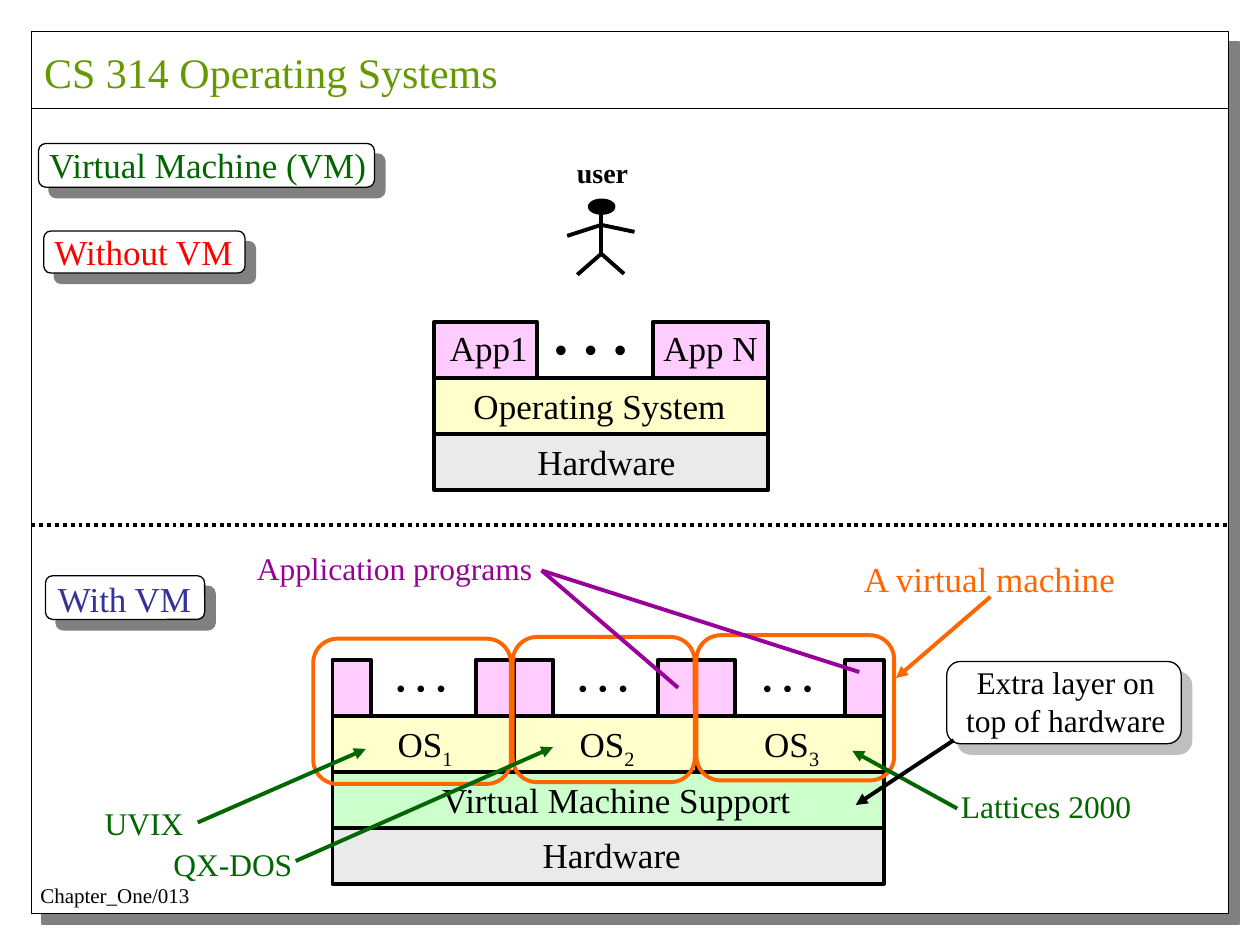
from lxml import etree
from pptx import Presentation
from pptx.dml.color import RGBColor
from pptx.enum import dml, shapes, text
from pptx.oxml import ns
from pptx.util import Pt

SERIF = "Times New Roman"
BLACK, WHITE, GREY = "000000", "FFFFFF", "EAEAEA"
PINK, YELLOW, MINT = "FFCCFF", "FFFFCC", "CCFFCC"
GREEN, ORANGE, PURPLE = "006600", "FF6600", "990099"
ROW = 32  # height of one layer in a stack


def colour(value):
    return RGBColor.from_string(value)


def add_child(parent, tag, **attributes):
    return etree.SubElement(parent, ns.qn(tag), attributes)


def add_box(slide, kind, box, fill=None, line=BLACK, weight=2.25, shadow=None):
    """Add a preset shape; shadow is an opacity in percent."""
    shape = slide.shapes.add_shape(kind, *map(Pt, box))
    shape.shadow.inherit = False
    if fill:
        shape.fill.solid()
        shape.fill.fore_color.rgb = colour(fill)
    else:
        shape.fill.background()
    shape.line.color.rgb = colour(line)
    shape.line.width = Pt(weight)
    if shadow:
        effects = shape._element.spPr.find(ns.qn("a:effectLst"))
        outer = add_child(effects, "a:outerShdw", blurRad="0", dist=str(Pt(8.5)),
                          dir="2700000", algn="ctr", rotWithShape="0")
        tint = add_child(outer, "a:srgbClr", val="808080")
        add_child(tint, "a:alpha", val=str(shadow * 1000))
    return shape


def add_rectangle(slide, box, fill):
    return add_box(slide, shapes.MSO_SHAPE.RECTANGLE, box, fill)


def add_line(slide, start, end, line=BLACK, weight=2.25, arrow=False, dash=None):
    connector = slide.shapes.add_connector(
        shapes.MSO_CONNECTOR.STRAIGHT, *map(Pt, start + end))
    connector.line.color.rgb = colour(line)
    connector.line.width = Pt(weight)
    if dash:
        connector.line.dash_style = dash
    if arrow:
        add_child(connector.line._get_or_add_ln(), "a:tailEnd", type="triangle")
    add_child(connector._element.spPr, "a:effectLst")
    return connector


def format_run(run, size, ink=BLACK, font=SERIF, bold=False):
    run.font.size = Pt(size)
    run.font.name = font
    run.font.bold = bold
    run.font.color.rgb = colour(ink)


def write(shape, words, size, align=text.PP_ALIGN.LEFT, **style):
    frame = shape.text_frame
    frame.text = words
    frame.word_wrap = False
    frame.auto_size = text.MSO_AUTO_SIZE.SHAPE_TO_FIT_TEXT
    frame.vertical_anchor = text.MSO_ANCHOR.TOP
    for paragraph in frame.paragraphs:
        paragraph.alignment = align
        for run in paragraph.runs:
            format_run(run, size, **style)


def add_label(slide, x, y, width, words, size=20, **style):
    lines = words.count("\n") + 1
    height = 1.2 * size * lines + 7.4
    label = slide.shapes.add_textbox(Pt(x), Pt(y), Pt(width), Pt(height))
    write(label, words, size, **style)
    return label


def add_dots(slide, x, y, width, size):
    """Ellipsis of bullets, set slightly tight."""
    label = add_label(slide, x, y, width, "•  •  •", size, font="Arial")
    run = label.text_frame.paragraphs[0].runs[0]
    run._r.get_or_add_rPr().set("spc", "-40")


def draw_page(slide, box):
    x, y, width, height = box
    add_box(slide, shapes.MSO_SHAPE.RECTANGLE, box, WHITE, weight=0.75, shadow=100)
    add_line(slide, (x, y + 44), (x + width, y + 44), weight=0.75)
    add_line(slide, (x, y + 282), (x + width, y + 282),
             dash=dml.MSO_LINE.ROUND_DOT)
    add_label(slide, x - 2, y + 482.8, 102, "Chapter_One/013", 12)
    title = slide.shapes.title
    title.left, title.top, title.width, title.height = map(
        Pt, (x, y + 5, 276, 36))
    write(title, "CS 314 Operating Systems", 24, ink="669900")
    slide.shapes._spTree.append(title._element)  # in front of the page frame


def draw_heading(slide, box, words, ink, dx, dy):
    """Shadowed pill with a section name, moved by dx and dy from its corner."""
    x, y, width, height = box
    add_box(slide, shapes.MSO_SHAPE.ROUNDED_RECTANGLE, box, WHITE,
            weight=0.75, shadow=100)
    add_label(slide, x + dx, y + dy, width + 5, words, ink=ink)


def draw_user(slide, x, y):
    """Stick figure with its caption, from the caption's top left."""
    add_label(slide, x, y + 0.5, 47, "user", 16, bold=True)
    add_box(slide, shapes.MSO_SHAPE.OVAL, (x + 13.7, y + 28.8, 15, 8.6), BLACK,
            weight=0.75)
    neck, shoulder, hip = ((x + 21, y + drop) for drop in (33, 43.5, 60))
    add_line(slide, neck, hip)
    for joint, dx, dy in ((hip, -13.7, 12), (hip, 13, 11.5),
                          (shoulder, -19.5, 6.3), (shoulder, 19, 4)):
        add_line(slide, joint, (joint[0] + dx, joint[1] + dy))


def draw_plain_stack(slide, x, y, width):
    """Applications, operating system and hardware."""
    add_rectangle(slide, (x, y + 2 * ROW, width, ROW), GREY)
    add_label(slide, x + 52, y + 2 * ROW, 96, "Hardware")
    add_rectangle(slide, (x, y + ROW, width, ROW), YELLOW)
    add_label(slide, x + 15.5, y + ROW, 161, "Operating System")
    add_rectangle(slide, (x, y, 59, ROW), PINK)
    add_label(slide, x + 2, y - 1, 61, "App1")
    add_rectangle(slide, (x + width - 66, y, 66, ROW), PINK)
    add_label(slide, x + width - 67, y - 1, 70, "App N")
    add_dots(slide, x + 62, y - 0.5, 61, 20)


def draw_guest(slide, x, y, width, number):
    """One guest system with its first and last application."""
    app, label_width = 22, 48
    label_x = x + (width - label_width) / 2 + 1.5
    add_rectangle(slide, (x, y + ROW, width, ROW), YELLOW)
    label = add_label(slide, label_x + 0.6, y + ROW + 0.4, label_width, "OS")
    subscript = label.text_frame.paragraphs[0].add_run()
    subscript.text = str(number)
    format_run(subscript, 20)
    subscript._r.get_or_add_rPr().set("baseline", "-25000")
    for app_x in (x, x + width - app):
        add_rectangle(slide, (app_x, y, app, ROW), PINK)
    add_dots(slide, label_x, y + 3.8, label_width, 14)


def draw_virtual_stack(slide, x, y):
    """Three guests over the support layer and the hardware."""
    widths = (104, 104, 107)
    total = sum(widths)
    for row, fill, words, label_x, label_y, label_width in (
            (2, MINT, "Virtual Machine Support", 55.5, 0.5, 218),
            (3, GREY, "Hardware", 113, -0.5, 96)):
        top = y + row * ROW
        add_rectangle(slide, (x, top, total, ROW), fill)
        add_label(slide, x + label_x, top + label_y, label_width, words)
    for index, width in enumerate(widths):
        draw_guest(slide, x + sum(widths[:index]), y, width, index + 1)
    for dx, dy, width in ((-11, -12, 113), (103, -13, 104), (208, -14, 113)):
        add_box(slide, shapes.MSO_SHAPE.ROUNDED_RECTANGLE,
                (x + dx, y + dy, width, 83), line=ORANGE)


def draw_callouts(slide, x, y):
    """Names around the virtual stack, from the stack's top left."""
    add_box(slide, shapes.MSO_SHAPE.ROUNDED_RECTANGLE,
            (x + 351, y + 1, 134, 47), WHITE, weight=0.75, shadow=50)
    add_label(slide, x + 353, y - 1.6, 132, "Extra layer on\ntop of hardware", 18,
              align=text.PP_ALIGN.CENTER)
    for dx, dy, width, words, size, ink in (
            (296.5, -62, 162, "A virtual machine", 20, ORANGE),
            (-50.3, -67, 175, "Application programs", 18, PURPLE),
            (-137.3, 79, 63, "UVIX", 18, GREEN),
            (-98, 102.4, 86, "QX-DOS", 18, GREEN),
            (352, 69, 124, "Lattices 2000", 18, GREEN)):
        add_label(slide, x + dx, y + dy, width, words, size, ink=ink)
    for start, end, ink, arrow in (
            ((376, -36), (322, 10.5), ORANGE, True),
            ((119.5, -51), (197.5, 16), PURPLE, False),
            ((119.5, -51), (301, 7), PURPLE, False),
            ((-77, 93), (19, 51), GREEN, True),
            ((-21, 115), (126, 50), GREEN, True),
            ((357, 85), (297, 52), GREEN, True),
            ((355, 46), (299, 83), BLACK, True)):
        add_line(slide, (x + start[0], y + start[1]), (x + end[0], y + end[1]),
                 ink, arrow=arrow)


def main():
    presentation = Presentation()
    presentation.slide_width, presentation.slide_height = Pt(720), Pt(540)
    slide = presentation.slides.add_slide(presentation.slide_layouts[5])
    draw_page(slide, (18, 18, 684, 504))
    draw_heading(slide, (22, 82, 192, 25), "Virtual Machine (VM)", GREEN, -1, -3.5)
    draw_heading(slide, (25, 132, 115, 24), "Without VM", "FF0000", -1, -4)
    draw_heading(slide, (26, 329, 91, 25), "With VM", "333399", 0, -2.5)
    draw_user(slide, 322.6, 85)
    draw_plain_stack(slide, 248, 184, 191)
    draw_virtual_stack(slide, 190, 377)
    draw_callouts(slide, 190, 377)
    presentation.save("out.pptx")


if __name__ == "__main__":
    main()
